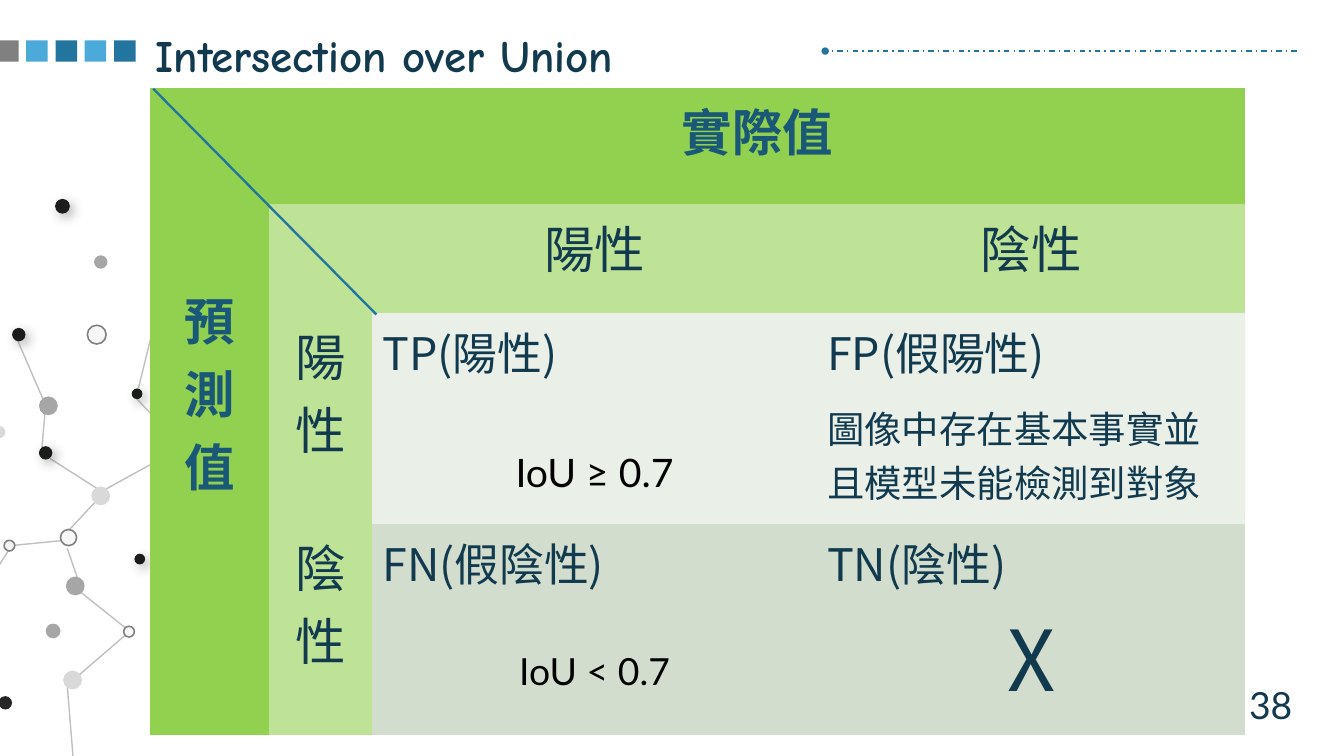
from lxml.etree import SubElement
from pptx import Presentation
from pptx.dml.color import RGBColor
from pptx.enum.dml import MSO_LINE
from pptx.enum.shapes import MSO_CONNECTOR, MSO_SHAPE
from pptx.enum.text import MSO_ANCHOR, PP_ALIGN
from pptx.oxml.ns import qn
from pptx.util import Emu, Pt

PX = 4572
COLORS = {
    "ink": "113A4F", "heading": "195876", "blue": "22759E", "sky": "4BAAD9",
    "black": "000000", "gray": "808080", "link": "BFBFBF",
    "header": "92D050", "subheader": "BEE396", "pale": "EAEFE8", "sage": "D3DDCD",
    "dark": "1A1D1A", "charcoal": "262626", "silver": "A6A6A6",
    "light": "D9D9D9", "open": "F7F7F7", "shadow": "404040",
}
CJK, LATIN, TITLE = "Noto Sans CJK SC", "Lato", "Comic Neue"
NO_GRID_STYLE = "{2D5ABB26-0587-4C30-8999-92F81FD0307C}"
CENTER, LEFT = PP_ALIGN.CENTER, PP_ALIGN.LEFT

LINKS = [
    (74, 386, 146, 432), (68, 306, 62, 376), (70, 312, 26, 210),
    (100, 520, 118, 572), (112, 870, 100, 724), (188, 648, 102, 722),
    (186, 638, 116, 582), (16, 516, 98, 508), (98, 498, 152, 440),
    (206, 282, 228, 192), (270, 368, 204, 298), (270, 370, 150, 436),
    (-22, 578, 12, 524),
]
NODES = {
    "dark": [(18, 192, 20), (196, 282, 16), (58, 368, 20), (200, 528, 16), (82, 0, 22)],
    "charcoal": [(-2, 740, 20)],
    "silver": [(58, 294, 28), (68, 632, 22), (98, 562, 28), (140, 84, 20)],
    "light": [(136, 428, 28), (94, 702, 28), (-10, 338, 18)],
    "open": [(6, 508, 16), (184, 636, 16), (90, 492, 24), (130, 188, 28)],
}


def px(*values):
    return [Emu(value * PX) for value in values]


def color(name):
    return RGBColor.from_string(COLORS[name])


def add_line(slide, start, end, line_color, width):
    connector = slide.shapes.add_connector(MSO_CONNECTOR.STRAIGHT, *px(*start, *end))
    connector.line.color.rgb = color(line_color)
    connector.line.width = Pt(width)
    SubElement(connector._element.spPr, qn("a:effectLst"))
    return connector


def add_solid(slide, kind, box, fill=None):
    shape = slide.shapes.add_shape(kind, *px(*box))
    shape.shadow.inherit = False
    if fill:
        shape.fill.solid()
        shape.fill.fore_color.rgb = color(fill)
    else:
        shape.fill.background()
    shape.line.fill.background()
    return shape


def add_shadow(shape):
    effects = shape._element.spPr.find(qn("a:effectLst"))
    shadow = SubElement(effects, qn("a:outerShdw"), blurRad=str(Pt(6)),
                        dist=str(Pt(3)), dir="2700000", rotWithShape="0")
    tint = SubElement(shadow, qn("a:srgbClr"), val=COLORS["shadow"])
    SubElement(tint, qn("a:alpha"), val="40000")


def add_text(frame, text, size, align=CENTER, font=CJK, ink="ink", bold=False, before=0):
    paragraph = frame.paragraphs[0]
    if paragraph.runs:
        paragraph = frame.add_paragraph()
    paragraph.alignment = align
    if before:
        paragraph.space_before = Pt(before)
    run = paragraph.add_run()
    run.text = text
    run.font.size = Pt(size)
    run.font.name = font
    run.font.bold = bold
    run.font.color.rgb = color(ink)
    SubElement(run._r.get_or_add_rPr(), qn("a:ea"), typeface=font)


def add_network(slide, left, top):
    for x1, y1, x2, y2 in LINKS:
        add_line(slide, (left + x1, top + y1), (left + x2, top + y2), "link", 0.75)
    for fill, nodes in NODES.items():
        for x, y, size in nodes:
            node = add_solid(slide, MSO_SHAPE.OVAL, (left + x, top + y, size, size), fill)
            if fill == "dark":
                add_shadow(node)
            if fill == "open":
                node.line.color.rgb = color("gray")
                node.line.width = Pt(0.85)


def add_title_bar(slide, left, top, width):
    for index, fill in enumerate(["gray", "sky", "blue", "sky", "blue"]):
        square = (left + index * 87 // 2, top + 28, 32, 32)
        add_solid(slide, MSO_SHAPE.RECTANGLE, square, fill)
    rule = add_line(slide, (left + width, top + 44), (left + 1232, top + 44), "blue", 0.75)
    rule.line.dash_style = MSO_LINE.DASH_DOT
    SubElement(rule.line._get_or_add_ln(), qn("a:tailEnd"), type="oval", w="sm", len="sm")
    title = slide.shapes.add_textbox(*px(left + 216, top, 962, 100)).text_frame
    title.word_wrap = True
    add_text(title, "Intersection over Union", 24, PP_ALIGN.JUSTIFY, TITLE, bold=True)


def add_matrix(slide, left, top):
    columns, rows = [178, 153, 662, 637], [173, 162, 314, 314]
    frame = slide.shapes.add_table(4, 4, *px(left, top, sum(columns), sum(rows)))
    table = frame.table
    table._tbl.tblPr.find(qn("a:tableStyleId")).text = NO_GRID_STYLE
    for column, width in zip(table.columns, columns):
        column.width = Emu(width * PX)
    for row, height in zip(table.rows, rows):
        row.height = Emu(height * PX)
    for r in range(4):
        for c in range(4):
            cell = table.cell(r, c)
            cell.margin_left, cell.margin_right = px(15, 15)
            cell.margin_top, cell.margin_bottom = px(8, 8)
            if r == 0 or c == 0:
                fill = "header"
            elif r == 1 or c == 1:
                fill = "subheader"
            else:
                fill = "pale" if r == 2 else "sage"
            cell.fill.solid()
            cell.fill.fore_color.rgb = color(fill)
    table.cell(0, 1).merge(table.cell(0, 3))
    table.cell(1, 0).merge(table.cell(3, 0))

    add_text(table.cell(0, 1).text_frame, "實際值", 27, ink="heading", bold=True)
    predicted = table.cell(1, 0)
    predicted.margin_top = Emu(116 * PX)
    for character in "預測值":
        add_text(predicted.text_frame, character, 27, ink="heading", bold=True)
    for index, label in enumerate(["陽性", "陰性"], start=2):
        add_text(table.cell(1, index).text_frame, label, 27)
        add_text(table.cell(index, 1).text_frame, label, 27)

    iou = {"font": LATIN, "ink": "black"}
    outcomes = {
        (2, 2): ("TP(陽性)", "IoU ≥ 0.7", 21, {**iou, "before": 35}),
        (2, 3): ("FP(假陽性)", "圖像中存在基本事實並且模型未能檢測到對象", 20,
                 {"align": LEFT, "before": 9}),
        (3, 2): ("FN(假陰性)", "IoU < 0.7", 20, {**iou, "before": 29}),
        (3, 3): ("TN(陰性)", "X", 45, {}),
    }
    for position, (heading, detail, size, style) in outcomes.items():
        text_frame = table.cell(*position).text_frame
        add_text(text_frame, heading, 24, LEFT)
        add_text(text_frame, detail, size, **style)
    add_line(slide, (left + 5, top + 1), (left + 337, top + 337), "blue", 1.25)


def add_page_number(slide, box):
    shape = add_solid(slide, MSO_SHAPE.OVAL, box)
    shape.text_frame.vertical_anchor = MSO_ANCHOR.MIDDLE
    add_text(shape.text_frame, "38", 20, font=LATIN)


def main():
    presentation = Presentation()
    presentation.slide_width, presentation.slide_height = px(2000, 1125)
    slide = presentation.slides.add_slide(presentation.slide_layouts[6])
    add_network(slide, 0, 296)
    add_matrix(slide, 223, 131)
    add_title_bar(slide, -4, 32, 1934)
    add_page_number(slide, (1804, 980, 174, 138))
    presentation.save("out.pptx")


if __name__ == "__main__":
    main()
